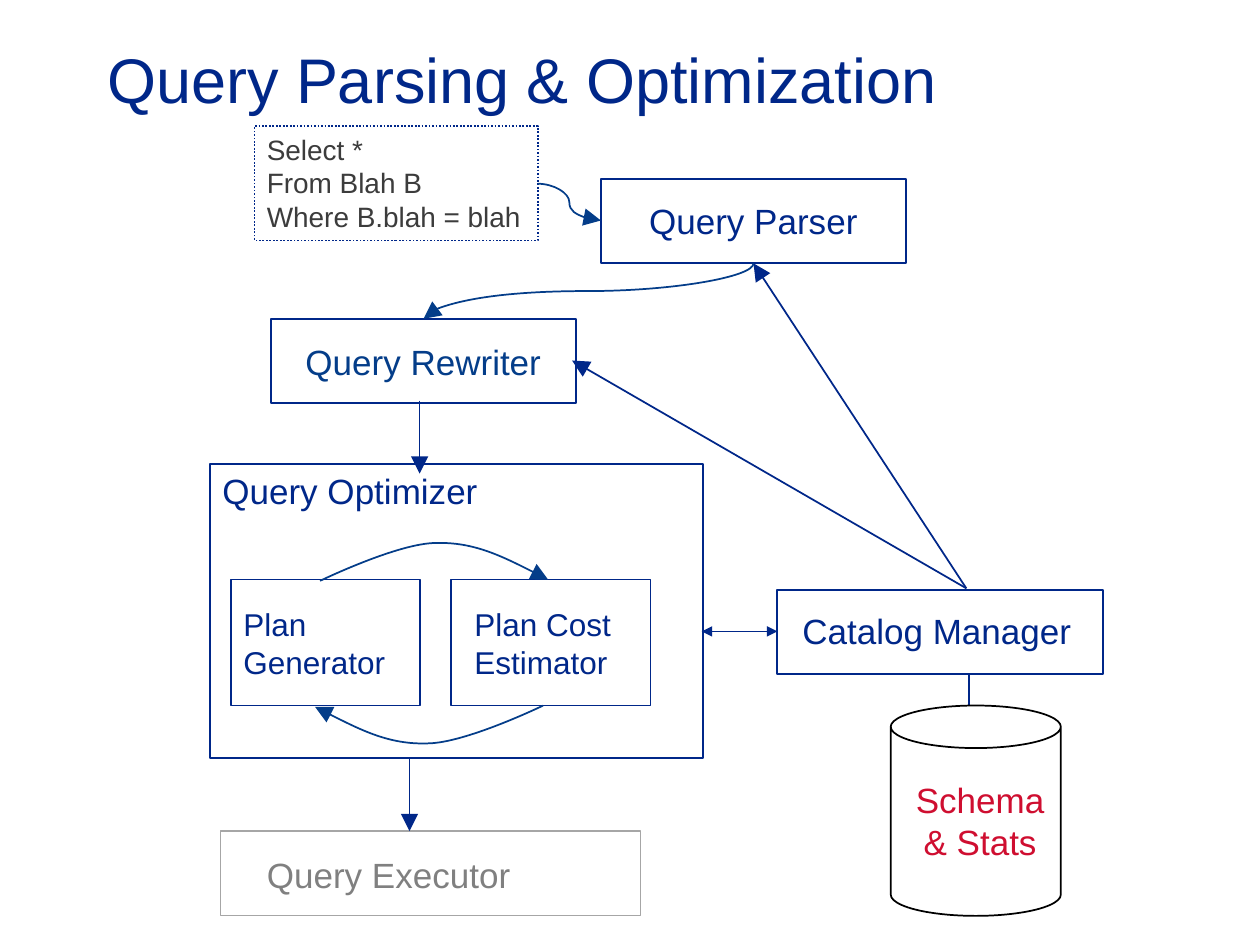
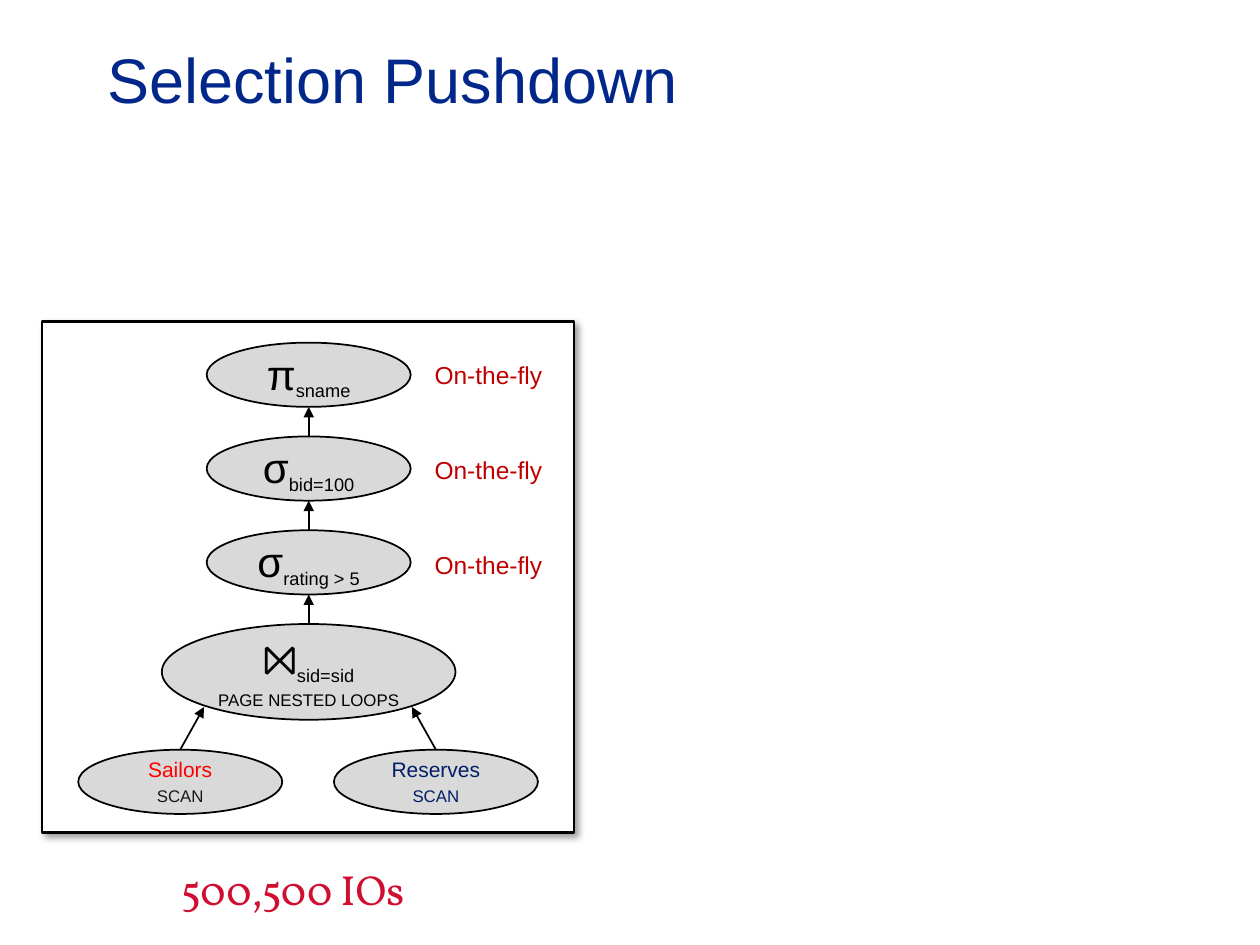
import pptx
import pptx.dml.color
import pptx.enum.dml
import pptx.enum.shapes
import pptx.enum.text
import pptx.oxml.ns
import pptx.util
from lxml import etree

Pt = pptx.util.Pt
qn = pptx.oxml.ns.qn
Shape = pptx.enum.shapes.MSO_SHAPE
Link = pptx.enum.shapes.MSO_CONNECTOR
Align = pptx.enum.text.PP_ALIGN
Anchor = pptx.enum.text.MSO_ANCHOR
Dash = pptx.enum.dml.MSO_LINE

NAVY, BLUE, RED, BLACK = "002789", "043D89", "CF0E30", "000000"
GREY, SILVER, DARK, PALE = "808080", "A6A6A6", "3C3C3C", "D9D9D9"
WHITE, BRICK, BRIGHT, DEEP, SOOT = "FFFFFF", "C00000", "FF0000", "001D67", "181818"


def tint(code):
    return pptx.dml.color.RGBColor.from_string(code)


def run(text, size, color=NAVY, **marks):
    """Describe a run; marks are extra attributes of its properties."""
    return text, size, color, marks


class Deck:
    face = "Arial"

    def __init__(self):
        self.file = pptx.Presentation()
        self.file.slide_width, self.file.slide_height = Pt(720), Pt(540)

    def page(self, title):
        self.slide = self.file.slides.add_slide(self.file.slide_layouts[5])
        self.shapes = self.slide.shapes
        head = self.shapes.title
        head.left, head.top, head.width, head.height = map(Pt, (54, 0, 612, 90))
        self.letter(head, [[run(title, 36)]], anchor=Anchor.MIDDLE)

    def ink(self, font, size, color, face=None):
        font.name, font.size = face or self.face, Pt(size)
        font.color.rgb = tint(color)

    def letter(self, shape, paras, align=Align.LEFT, anchor=Anchor.TOP,
               wrap=True, face=None):
        """Put paragraphs, each a list of runs, into the shape."""
        frame = shape.text_frame
        frame.auto_size = pptx.enum.text.MSO_AUTO_SIZE.NONE
        frame.word_wrap, frame.vertical_anchor = wrap, anchor
        for i, runs in enumerate(paras):
            para = frame.add_paragraph() if i else frame.paragraphs[0]
            para.alignment = align
            for text, size, color, marks in runs:
                part = para.add_run()
                part.text = text
                font = part.font if len(runs) > 1 else para.font
                self.ink(font, size, color, face)
                for name, value in marks.items():
                    part._r.get_or_add_rPr().set(name, value)

    def label(self, box, paras, **style):
        self.letter(self.shapes.add_textbox(*map(Pt, box)), paras, **style)

    def pen(self, shape, color, width=1):
        shape.line.color.rgb, shape.line.width = tint(color), Pt(width)

    def box(self, box, line=NAVY, fill=None, kind=Shape.RECTANGLE, width=1):
        shape = self.shapes.add_shape(kind, *map(Pt, box))
        shape.shadow.inherit = False
        if fill:
            shape.fill.solid()
            shape.fill.fore_color.rgb = tint(fill)
        else:
            shape.fill.background()
        self.pen(shape, line, width)
        return shape

    def oval(self, box, paras):
        shape = self.box(box, BLACK, PALE, Shape.OVAL)
        self.letter(shape, paras, Align.CENTER, Anchor.MIDDLE)

    def shade(self, shape):
        """Give the shape a soft shadow to the lower right."""
        effects = shape._element.spPr.find(qn("a:effectLst"))
        cast = etree.SubElement(
            effects, qn("a:outerShdw"), blurRad=str(Pt(4)), dist=str(Pt(3)),
            dir="2700000", algn="tl", rotWithShape="0")
        color = etree.SubElement(cast, qn("a:srgbClr"), val=BLACK)
        etree.SubElement(color, qn("a:alpha"), val="40000")

    def tips(self, shape, ends, size):
        line = shape._element.spPr.find(qn("a:ln"))
        for end in ends:
            etree.SubElement(line, qn(f"a:{end}End"), type="triangle",
                             w=size, len=size)

    def link(self, start, stop, ends=("tail",), color=NAVY, size="lg",
             kind=Link.STRAIGHT):
        line = self.shapes.add_connector(kind, *map(Pt, start + stop))
        self.pen(line, color)
        self.tips(line, ends, size)
        etree.SubElement(line._element.spPr, qn("a:effectLst"))
        return line

    def bend(self, start, stop, color):
        """Curve that leaves downwards and goes left: a link turned by 90°."""
        (x, y), (u, v) = start, stop
        midx, midy, high, wide = (x + u) / 2, (y + v) / 2, v - y, x - u
        line = self.link((midx - high / 2, midy - wide / 2),
                         (midx + high / 2, midy + wide / 2),
                         color=color, kind=Link.CURVE)
        line._element.spPr.find(qn("a:xfrm")).set("rot", "5400000")

    def curve(self, points, color):
        """Bezier line through a start and triples, with an arrow at the start."""
        first, *rest = [(Pt(x), Pt(y)) for x, y in points]
        pen = self.shapes.build_freeform(*first)
        pen.add_line_segments(rest, close=False)
        shape = pen.convert_to_shape()
        shape.shadow.inherit = False
        shape.fill.background()
        track = next(shape._element.iter(qn("a:path")))
        steps = track.findall(qn("a:lnTo"))
        for i in range(0, len(steps), 3):
            cubic = etree.SubElement(track, qn("a:cubicBezTo"))
            for step in steps[i:i + 3]:
                cubic.append(step[0])
                track.remove(step)
        self.pen(shape, color)
        self.tips(shape, ["head"], "lg")


def parsing(deck):
    deck.page("Query Parsing & Optimization")
    mid = Anchor.MIDDLE
    for text, size, color, box, anchor in (
            ("Query Optimizer", 20, NAVY, (120, 265, 486, 32), Anchor.TOP),
            ("Plan Generator", 18, NAVY, (132, 342, 132, 51), mid),
            ("Plan Cost Estimator", 18, NAVY, (264, 342, 162, 51), mid),
            ("Query Executor", 20, GREY, (145.4, 484, 312, 32), Anchor.TOP),
            ("Catalog Manager", 20, NAVY, (451.4, 345, 192, 32), Anchor.TOP)):
        deck.label(box, [[run(text, size, color)]], anchor=anchor)

    for box, line in (((132, 331.2, 108, 72), NAVY),
                      ((257.8, 331.2, 114, 72), NAVY),
                      ((120, 265, 282, 168), NAVY),
                      ((444.2, 337, 186, 48.2), NAVY),
                      ((126, 475, 240, 48.2), SILVER)):
        deck.box(box, line)
    for text, color, box in (
            ("Query Rewriter", BLUE, (154.8, 182.2, 174.2, 48.2)),
            ("Query Parser", NAVY, (343.4, 102.2, 174.2, 48.2))):
        deck.letter(deck.box(box), [[run(text, 20, color)]],
                    Align.CENTER, mid, False)

    query = deck.box((145.4, 72, 162, 65.5))
    query.line.dash_style = Dash.ROUND_DOT
    lines = "Select *", "From Blah B", "Where B.blah = blah"
    deck.letter(query, [[run(line, 16, DARK)] for line in lines], wrap=False)

    deck.link((234, 432.7), (234, 475))
    deck.link((239.8, 229), (239.8, 270.7))
    deck.link((401, 360.8), (444.2, 360.8), ("head", "tail"), size="med")
    deck.link((553.7, 386), (553.7, 414.7), ())
    for target in (430.6, 150.5), (326.9, 206):
        deck.link(target, (552.2, 336.2), ("head",))
    deck.link((307.4, 105), (343.4, 126), color=BLUE, kind=Link.CURVE)
    deck.bend((430.6, 150.5), (242, 182.2), BLUE)

    upper = [(313.2, 331.2), (292.3, 320.4), (270.7, 309.6), (249.1, 310.3),
             (227.5, 310.3), (182.9, 331.9), (182.9, 331.9)]
    deck.curve(upper, BLUE)
    deck.curve([(493.2 - x, 735.1 - y) for x, y in upper], BLUE)

    deck.box((509, 403.2, 97.2, 120.2), BLACK, WHITE, Shape.CAN)
    deck.label((516.2, 441.4, 87.8, 55.4),
               [[run(word, 20, RED)] for word in ("Schema", "& Stats")],
               align=Align.CENTER)


def pushdown(deck):
    deck.page("Selection Pushdown")
    deck.shade(deck.box((24, 183.6, 304, 292.3), BLACK, WHITE, width=1.5))

    def term(sign, sub):
        return [run(sign, 24, BLACK), run(sub, 18, BLACK, baseline="-25000")]

    wide, high, step, top, axis = 116.6, 36.7, 53.6, 195.8, 176.4
    for i, (sign, sub, note) in enumerate((("π", "sname", 202.3),
                                           ("σ", "bid=100", 256.3),
                                           ("σ", "rating > 5", 311))):
        y = top + i * step
        deck.oval((axis - wide / 2, y, wide, high), [term(sign, sub)])
        deck.link((axis, y + step), (axis, y + high), color=BLACK, size="med")
        deck.label((241.2, note, 78.5, 23.8),
                   [[run("On-the-fly", 14, BRICK)]], wrap=False)

    deck.oval((92.5, top + 3 * step, 167.8, 54.7),
              [term("⨝", "sid=sid"),
               [run("page nested loops", 12, BLACK, cap="small")]])
    for name, color, shade, x, tip in (
            ("Sailors", BRIGHT, SOOT, 103, 116.6),
            ("Reserves", DEEP, DEEP, 249.1, 235.4)):
        deck.oval((x - wide / 2, 428.4, wide, high),
                  [[run(name, 12, color)],
                   [run("scan", 12, shade, cap="small")]])
        deck.link((x, 428.4), (tip, 404), color=BLACK, size="med")

    deck.label((92.2, 489.6, 150, 36), [[run("500,500 IOs", 24, RED)]],
               align=Align.CENTER, anchor=Anchor.MIDDLE, wrap=False,
               face="Vollkorn")


def main():
    deck = Deck()
    parsing(deck)
    pushdown(deck)
    deck.file.save("out.pptx")


if __name__ == "__main__":
    main()
